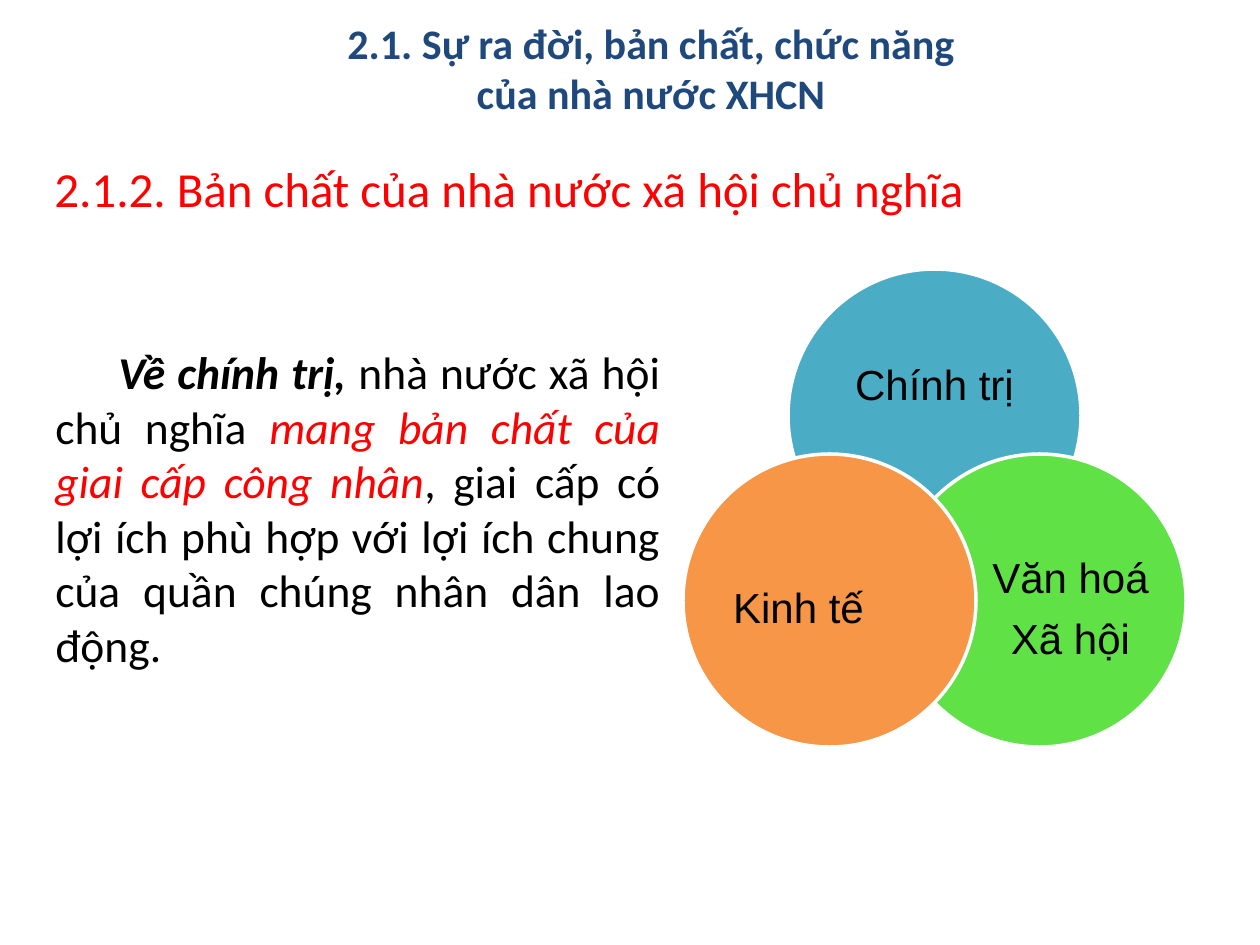
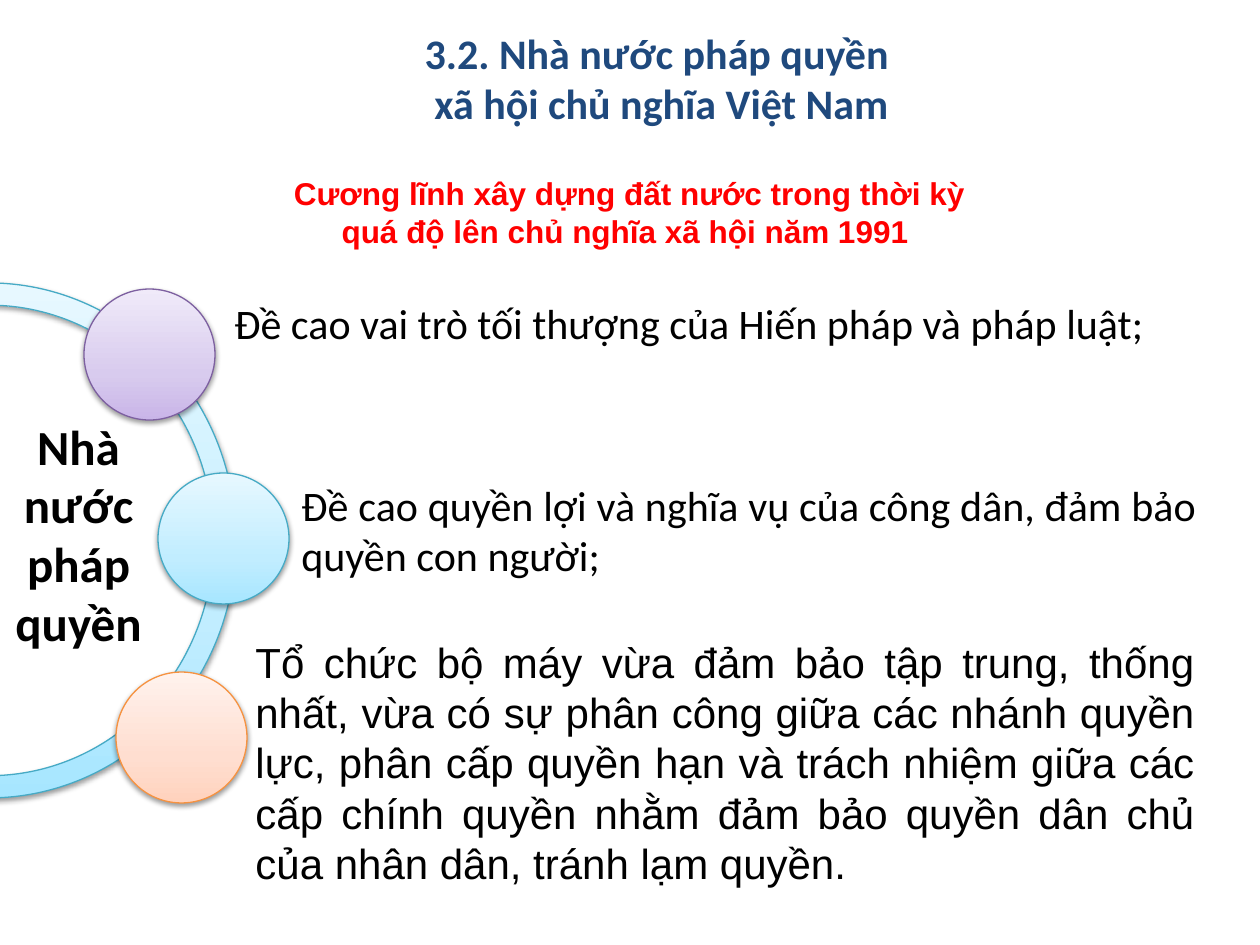
from copy import deepcopy
from dataclasses import dataclass

from lxml.etree import SubElement
from pptx import Presentation
from pptx.dml.color import RGBColor
from pptx.enum.shapes import MSO_SHAPE
from pptx.enum.text import MSO_ANCHOR, MSO_AUTO_SIZE, PP_ALIGN
from pptx.oxml.ns import qn
from pptx.util import Emu, Pt

PIXELS_PER_INCH = 126
TITLE_ONLY = 5


@dataclass(frozen=True)
class Theme:
    """Colours, fonts and type sizes shared by the slides."""

    navy: str = "1F497D"
    red: str = "FF0000"
    black: str = "000000"
    white: str = "FFFFFF"
    teal: str = "4BACC6"
    green: str = "60E146"
    orange: str = "F79646"
    sky_gradient: tuple = ("A7E6FF", "C1EDFF", "E7F8FF")
    sky_line: str = "46AAC5"
    violet_gradient: tuple = ("C9B5E8", "D8CBEE", "F0EAF9")
    violet_line: str = "7D60A0"
    peach_gradient: tuple = ("FFD2BD", "FFDED0", "FFF2ED")
    peach_line: str = "F69240"
    gradient_positions: tuple = (0, 0.35, 1)
    heading_font: str = "Calibri"
    plain_font: str = "Arial"
    note_size: int = 18
    text_size: int = 24
    body_size: int = 26
    heading_size: int = 28


THEME = Theme()


def px(length):
    """Turn pixels into EMU."""
    return Emu(round(length * 914400 / PIXELS_PER_INCH))


def rgb(colour):
    """Turn a hex string into a colour."""
    return RGBColor.from_string(colour)


def place(shape, box):
    """Move and size a shape to a pixel box."""
    shape.left, shape.top, shape.width, shape.height = map(px, box)


def write_text(frame, paragraphs, align=PP_ALIGN.JUSTIFY, indent=0, before=0,
               after=0, line_spacing=None, **run_format):
    """Write paragraphs, each a string or a list of (text, format) runs."""
    for number, content in enumerate(paragraphs):
        paragraph = frame.paragraphs[0] if number == 0 else frame.add_paragraph()
        paragraph.alignment = align
        paragraph.space_before = Pt(before)
        paragraph.space_after = Pt(after)
        if line_spacing:
            paragraph.line_spacing = line_spacing
        if indent:
            properties = paragraph._p.get_or_add_pPr()
            properties.set("marL", "0")
            properties.set("indent", str(px(indent)))
        runs = [(content, {})] if isinstance(content, str) else content
        for text, changes in runs:
            add_run(paragraph, text, **{**run_format, **changes})


def add_run(paragraph, text, size=THEME.text_size, font=THEME.heading_font,
            colour=THEME.black, bold=False, italic=False):
    """Add one formatted run."""
    run = paragraph.add_run()
    run.text = text
    run.font.size = Pt(size)
    run.font.name = font
    run.font.color.rgb = rgb(colour)
    run.font.bold = bold
    run.font.italic = italic


def add_text(slide, box, *paragraphs, **text_format):
    """Add a wrapping text box."""
    frame = slide.shapes.add_textbox(*map(px, box)).text_frame
    frame.word_wrap = True
    write_text(frame, paragraphs, **text_format)


def add_titled_slide(presentation, box, *paragraphs):
    """Add a slide with its title placed and formatted."""
    slide = presentation.slides.add_slide(presentation.slide_layouts[TITLE_ONLY])
    title = slide.shapes.title
    place(title, box)
    frame = title.text_frame
    frame.word_wrap = True
    frame.auto_size = MSO_AUTO_SIZE.NONE
    frame.vertical_anchor = MSO_ANCHOR.TOP
    write_text(frame, paragraphs, align=PP_ALIGN.CENTER, colour=THEME.navy, bold=True)
    return slide


def add_shape(slide, kind, box, line, line_width):
    """Add an outlined preset shape without a shadow."""
    shape = slide.shapes.add_shape(kind, *map(px, box))
    shape.shadow.inherit = False
    shape.line.color.rgb = rgb(line)
    shape.line.width = Pt(line_width)
    return shape


def add_venn_circle(slide, box, colour, insets, *labels):
    """Add a filled circle with its label shifted by the insets."""
    circle = add_shape(slide, MSO_SHAPE.OVAL, box, THEME.white, 2)
    circle.fill.solid()
    circle.fill.fore_color.rgb = rgb(colour)
    frame = circle.text_frame
    frame.word_wrap = False
    frame.vertical_anchor = MSO_ANCHOR.MIDDLE
    (frame.margin_left, frame.margin_top,
     frame.margin_right, frame.margin_bottom) = map(px, insets)
    write_text(frame, labels, align=PP_ALIGN.CENTER, after=9, line_spacing=0.9,
               font=THEME.plain_font)


def add_glossy_shape(slide, kind, box, gradient, line):
    """Add a shape with an upward gradient and a soft shadow."""
    shape = add_shape(slide, kind, box, line, 0.75)
    shape.fill.gradient()
    shape.fill.gradient_angle = 90
    properties = shape._element.spPr
    stop_list = properties.find(".//" + qn("a:gsLst"))
    stop_list.append(deepcopy(stop_list[-1]))
    stops = zip(shape.fill.gradient_stops, THEME.gradient_positions, gradient)
    for stop, position, colour in stops:
        stop.position = position
        stop.color.rgb = rgb(colour)
    shadow = SubElement(
        properties.find(qn("a:effectLst")), qn("a:outerShdw"),
        blurRad=str(Pt(3.1)), dist=str(Pt(1.6)), dir="5400000", rotWithShape="0")
    shade = SubElement(shadow, qn("a:srgbClr"), val=THEME.black)
    SubElement(shade, qn("a:alpha"), val="38000")
    return shape


def build_nature_slide(presentation):
    """Build the slide on the nature of the socialist state."""
    slide = add_titled_slide(presentation, (315, 11, 672, 115),
                             "2.1. Sự ra đời, bản chất, chức năng của nhà nước XHCN")
    add_text(slide, (42, 152, 1071, 72),
             "2.1.2. Bản chất của nhà nước xã hội chủ nghĩa",
             size=THEME.heading_size, colour=THEME.red)

    diameter, middle, spread, upper, lower = 293, 788, 105, 269, 454
    circles = (
        (middle, upper, THEME.teal, (0, 9, 0, 67), ("Chính trị",)),
        (middle + spread, lower, THEME.green, (62, 33, 0, 14), ("Văn hoá", "Xã hội")),
        (middle - spread, lower, THEME.orange, (0, 33, 62, 14), ("Kinh tế",)),
    )
    for left, top, colour, insets, labels in circles:
        add_venn_circle(slide, (left, top, diameter, diameter), colour, insets, *labels)

    add_text(slide, (43, 338, 630, 344), [
        ("Về chính trị, ", {"bold": True, "italic": True}),
        ("nhà nước xã hội chủ nghĩa ", {}),
        ("mang bản chất của giai cấp công nhân", {"colour": THEME.red, "italic": True}),
        (", giai cấp có lợi ích phù hợp với lợi ích chung của quần chúng "
         "nhân dân lao động.", {}),
    ], size=THEME.body_size, indent=63, before=3)


def build_rule_of_law_slide(presentation):
    """Build the slide on the rule-of-law state."""
    slide = add_titled_slide(presentation, (294, 21, 735, 115),
                             "3.2. Nhà nước pháp quyền ", "xã hội chủ nghĩa Việt Nam")
    arc = add_glossy_shape(slide, MSO_SHAPE.BLOCK_ARC, (-258, 283, 494, 515),
                           THEME.sky_gradient, THEME.sky_line)
    for number, value in enumerate((162.59, 53.95, 0.045)):
        arc.adjustments[number] = value

    node_size = 131
    nodes = (
        (84, 289, THEME.violet_gradient, THEME.violet_line),
        (158, 473, THEME.sky_gradient, THEME.sky_line),
        (116, 672, THEME.peach_gradient, THEME.peach_line),
    )
    for left, top, gradient, line in nodes:
        add_glossy_shape(slide, MSO_SHAPE.OVAL, (left, top, node_size, node_size),
                         gradient, line)

    add_text(slide, (222, 291, 992, 115),
             "Đề cao vai trò tối thượng của Hiến pháp và pháp luật;")
    add_text(slide, (289, 473, 920, 115),
             "Đề cao quyền lợi và nghĩa vụ của công dân, đảm bảo quyền con người;")
    add_text(slide, (243, 630, 964, 267),
             "Tổ chức bộ máy vừa đảm bảo tập trung, thống nhất, vừa có sự phân công "
             "giữa các nhánh quyền lực, phân cấp quyền hạn và trách nhiệm giữa các "
             "cấp chính quyền nhằm đảm bảo quyền dân chủ của nhân dân, tránh lạm quyền.",
             font=THEME.plain_font)
    add_text(slide, (-1, 410, 159, 251), "Nhà nước pháp quyền",
             align=PP_ALIGN.CENTER, size=THEME.heading_size, bold=True)
    add_text(slide, (262, 168, 735, 90),
             "Cương lĩnh xây dựng đất nước trong thời kỳ quá độ lên chủ nghĩa "
             "xã hội năm 1991 ",
             align=PP_ALIGN.CENTER, size=THEME.note_size, font=THEME.plain_font,
             colour=THEME.red, bold=True)


def main():
    """Build and save the presentation."""
    presentation = Presentation()
    presentation.slide_width, presentation.slide_height = px(1260), px(945)
    build_nature_slide(presentation)
    build_rule_of_law_slide(presentation)
    presentation.save("out.pptx")


if __name__ == "__main__":
    main()
